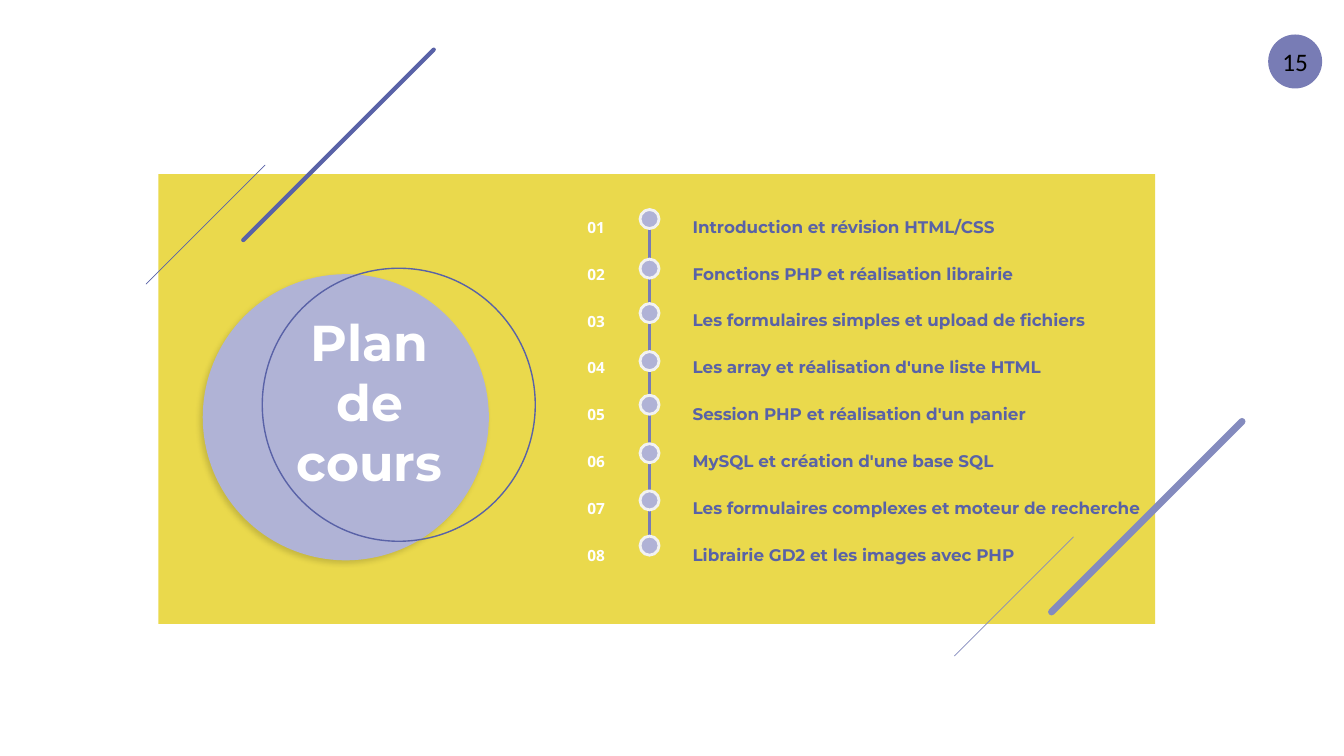
from lxml.etree import SubElement
from pptx import Presentation
from pptx.dml.color import RGBColor
from pptx.enum.shapes import MSO_CONNECTOR, MSO_SHAPE
from pptx.enum.text import MSO_ANCHOR, MSO_AUTO_SIZE, PP_ALIGN
from pptx.oxml.ns import qn
from pptx.util import Cm, Pt

COLORS = {
    "panel": "EAD94C", "indigo": "5962A7", "periwinkle": "848BBE",
    "badge": "787CB5", "disc": "B0B3D6", "dot": "B0B2D6",
    "dot_ring": "F2F2F2", "white": "FFFFFF", "black": "000000",
}
TOPICS = [
    "Introduction et révision HTML/CSS",
    "Fonctions PHP et réalisation librairie",
    "Les formulaires simples et upload de fichiers",
    "Les array et réalisation d'une liste HTML",
    "Session PHP et réalisation d'un panier",
    "MySQL et création d'une base SQL",
    "Les formulaires complexes et moteur de recherche",
    "Librairie GD2 et les images avec PHP",
]
DOT_TOPS = [0.89, 2.14, 3.26, 4.47, 5.57, 6.79, 7.98, 9.12]
DOT_SIZE = 0.48


def color(name):
    return RGBColor.from_string(COLORS[name])


def add_preset(slide, preset, left, top, width, height, fill=None, line=None, weight=1):
    shape = slide.shapes.add_shape(preset, Cm(left), Cm(top), Cm(width), Cm(height))
    shape.shadow.inherit = False
    if fill:
        shape.fill.solid()
        shape.fill.fore_color.rgb = color(fill)
    else:
        shape.fill.background()
    if line:
        shape.line.color.rgb = color(line)
        shape.line.width = Pt(weight)
    else:
        shape.line.fill.background()
    return shape


def add_line(slide, start, end, line, weight, cap="flat"):
    connector = slide.shapes.add_connector(
        MSO_CONNECTOR.STRAIGHT, *[Cm(value) for value in (*start, *end)])
    connector.line.color.rgb = color(line)
    connector.line.width = Pt(weight)
    connector.line._get_or_add_ln().set("cap", cap)
    SubElement(connector._element.spPr, qn("a:effectLst"))


def place(shape, left, top, width, height):
    """Move a text shape to its box and bring it to the front."""
    shape.left, shape.top, shape.width, shape.height = [
        Cm(value) for value in (left, top, width, height)]
    tree = shape.element.getparent()
    tree.append(shape.element)


def write(shape, lines, font, size, font_color, bold=True, align=PP_ALIGN.LEFT, spacing=None):
    frame = shape.text_frame
    frame.word_wrap = True
    frame.auto_size = MSO_AUTO_SIZE.NONE
    frame.vertical_anchor = MSO_ANCHOR.TOP
    frame.text = "\n".join(lines)
    for paragraph in frame.paragraphs:
        properties = paragraph._p.get_or_add_pPr()
        properties.set("marL", "0")
        properties.set("indent", "0")
        SubElement(properties, qn("a:buNone"))
        paragraph.alignment = align
        paragraph.space_before = Pt(0)
        paragraph.line_spacing = spacing
        paragraph.font.name = font
        paragraph.font.size = Pt(size)
        paragraph.font.bold = bold
        paragraph.font.color.rgb = color(font_color)
    return frame


def add_soft_shadow(shape):
    effects = shape._element.spPr.find(qn("a:effectLst"))
    shadow = SubElement(effects, qn("a:outerShdw"), blurRad=str(Pt(4)), dist=str(Pt(3)),
                        dir=str(135 * 60000), algn="tr", rotWithShape="0")
    tint = SubElement(shadow, qn("a:srgbClr"), val=COLORS["black"])
    SubElement(tint, qn("a:alpha"), val="15000")


def add_diagonals(slide, left, bottom, line, weight):
    """A thin diagonal starting at (left, bottom), with a thick one to its right."""
    for x, y, reach, width in [(left + 2.45, bottom - 1.11, 4.8, weight),
                               (left, bottom, 3, 0.5)]:
        add_line(slide, (x, y), (x + reach, y - reach), line, width, "rnd")


def add_page_badge(slide, left, top, size):
    badge = add_preset(slide, MSO_SHAPE.OVAL, left, top, size, size, "badge")
    frame = write(badge, ["15"], "Calibri", 18, "black", False, PP_ALIGN.CENTER)
    frame.vertical_anchor = MSO_ANCHOR.MIDDLE
    frame.margin_left = frame.margin_right = frame.margin_top = frame.margin_bottom = 0


def add_timeline(slide, center, top):
    add_line(slide, (center, top + DOT_TOPS[0]),
             (center, top + DOT_TOPS[-1] + DOT_SIZE), "badge", 1.7)
    for dot_top in DOT_TOPS:
        add_preset(slide, MSO_SHAPE.OVAL, center - DOT_SIZE / 2, top + dot_top,
                   DOT_SIZE, DOT_SIZE, "dot", "dot_ring", 2)


def add_topics(slide, left, top, height):
    topics = slide.placeholders[1]
    place(topics, left + 2.7, top, 12.09, height)
    write(topics, TOPICS, "Montserrat", 12, "indigo", spacing=Pt(33.5))

    numbers = slide.shapes.add_textbox(0, 0, 0, 0)
    place(numbers, left, top, 1, height)
    write(numbers, [f"{index:02}" for index in range(1, len(TOPICS) + 1)],
          "Open Sans", 11, "white", align=PP_ALIGN.RIGHT, spacing=Pt(33.5))


def add_title_disc(slide, left, top):
    disc = add_preset(slide, MSO_SHAPE.OVAL, left, top, 7.21, 7.21, "disc")
    add_soft_shadow(disc)
    add_preset(slide, MSO_SHAPE.OVAL, left + 1.5, top - 0.15, 6.88, 6.88, line="indigo")
    title = slide.shapes.title
    place(title, left + 1.45, top + 0.79, 5.51, 4.88)
    write(title, ["Plan", "de", "cours"], "Montserrat", 36, "white", align=PP_ALIGN.CENTER)


def build_course_plan(presentation):
    slide = presentation.slides.add_slide(presentation.slide_layouts[1])
    # Panel and decoration
    left, top, width, height = 3.99, 4.39, 25.12, 11.33
    add_preset(slide, MSO_SHAPE.RECTANGLE, left, top, width, height, "panel")
    add_diagonals(slide, 3.68, 7.16, "indigo", 3)
    add_diagonals(slide, 24.05, 16.53, "periwinkle", 5)
    add_page_badge(slide, 31.96, 0.87, 1.36)
    # Course plan
    add_timeline(slide, left + 12.38, top)
    add_topics(slide, left + 10.51, top + 0.26, 9.75)
    add_title_disc(slide, left + 1.12, top + 2.52)


def main():
    presentation = Presentation()
    presentation.slide_width, presentation.slide_height = Cm(33.87), Cm(19.05)
    build_course_plan(presentation)
    presentation.save("out.pptx")


if __name__ == "__main__":
    main()
